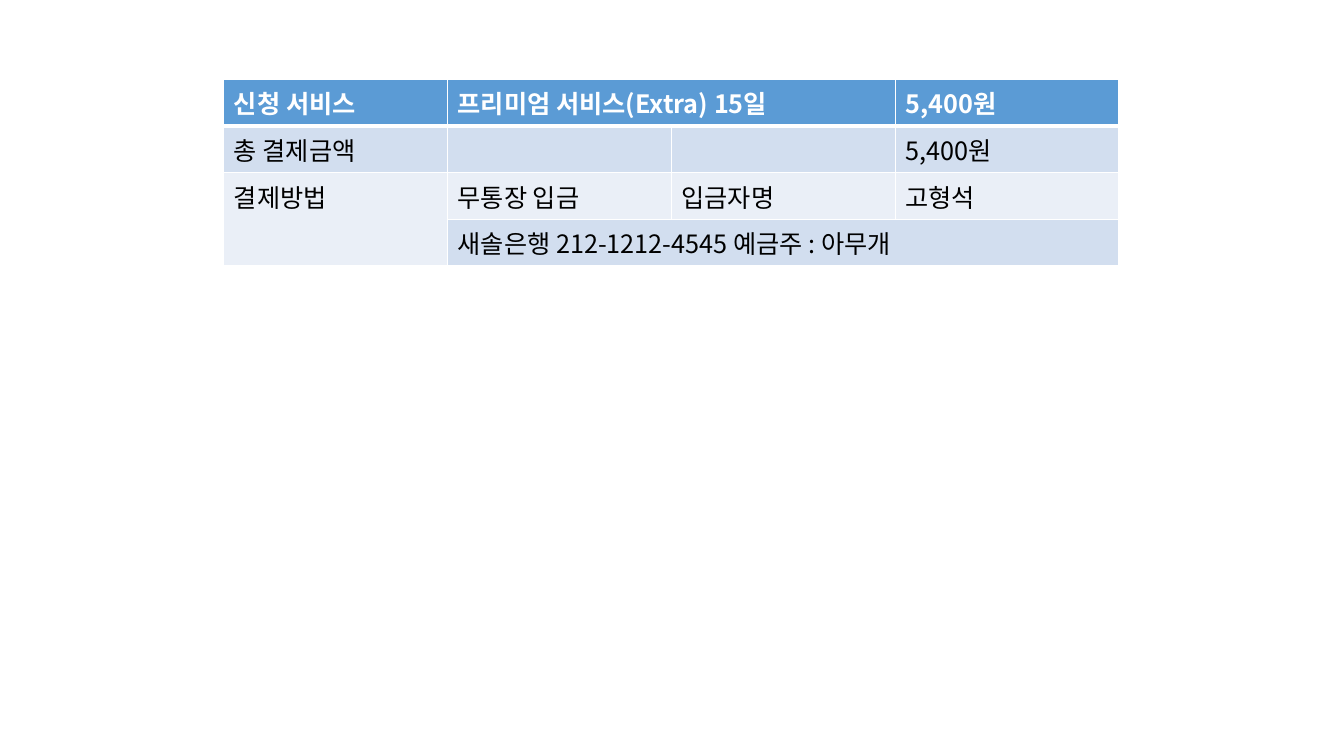
import pptx
import pptx.dml.color
import pptx.oxml
import pptx.oxml.ns
import pptx.util
from pptx.util import Inches, Pt

# Content: (row, column, rows spanned, columns spanned, wording)
PAYMENT = [
    (0, 0, 1, 1, "신청 서비스"),
    (0, 1, 1, 2, "프리미엄 서비스(Extra) 15일"),
    (0, 3, 1, 1, "5,400원"),
    (1, 0, 1, 1, "총 결제금액"),
    (1, 3, 1, 1, "5,400원"),
    (2, 0, 2, 1, "결제방법"),
    (2, 1, 1, 1, "무통장 입금"),
    (2, 2, 1, 1, "입금자명"),
    (2, 3, 1, 1, "고형석"),
    (3, 1, 1, 3, "새솔은행 212-1212-4545 예금주 : 아무개"),
]
ROWS, COLUMNS = 4, 4
LEFT, TOP = 2.22, 0.79
COLUMN_WIDTH, ROW_HEIGHT = 2.22, 0.46


class Theme:
    font = "Noto Sans CJK KR"
    size = 18
    header = "5B9BD5"
    bands = ("EAEFF7", "D2DEEF")
    header_text = "FFFFFF"
    body_text = "000000"
    border = "FFFFFF"
    thin, thick = 1, 3


def rgb(value):
    return pptx.dml.color.RGBColor.from_string(value)


def draw_borders(cell, row):
    """White rules, with a heavier one between the header and the body."""
    widths = {"L": Theme.thin, "R": Theme.thin,
              "T": Theme.thick if row == 1 else Theme.thin,
              "B": Theme.thick if row == 0 else Theme.thin}
    properties = cell._tc.get_or_add_tcPr()
    for side, width in widths.items():
        properties.append(pptx.oxml.parse_xml(
            f'<a:ln{side} {pptx.oxml.ns.nsdecls("a")} w="{Pt(width)}">'
            f'<a:solidFill><a:srgbClr val="{Theme.border}"/></a:solidFill>'
            f'</a:ln{side}>'))


def write(cell, wording, is_header):
    run = cell.text_frame.paragraphs[0].add_run()
    run.text = wording
    run.font.name = Theme.font
    run.font.size = Pt(Theme.size)
    run.font.bold = is_header
    run.font.color.rgb = rgb(Theme.header_text if is_header else Theme.body_text)
    run.font._element.append(pptx.oxml.parse_xml(
        f'<a:ea {pptx.oxml.ns.nsdecls("a")} typeface="{Theme.font}"/>'))


# Slide
presentation = pptx.Presentation()
presentation.slide_width = Inches(13.33)
presentation.slide_height = Inches(7.5)
slide = presentation.slides.add_slide(presentation.slide_layouts[6])

# Table grid
payment_table = slide.shapes.add_table(
    ROWS, COLUMNS, Inches(LEFT), Inches(TOP),
    Inches(COLUMNS * COLUMN_WIDTH), Inches(ROWS * ROW_HEIGHT)).table
for column in payment_table.columns:
    column.width = Inches(COLUMN_WIDTH)
for row in payment_table.rows:
    row.height = Inches(ROW_HEIGHT)

# Banding and borders
for row in range(ROWS):
    for column in range(COLUMNS):
        cell = payment_table.cell(row, column)
        draw_borders(cell, row)
        cell.fill.solid()
        cell.fill.fore_color.rgb = rgb(Theme.bands[row % 2] if row else Theme.header)

# Merged cells and wording
for row, column, row_span, column_span, wording in PAYMENT:
    cell = payment_table.cell(row, column)
    if row_span * column_span > 1:
        cell.merge(payment_table.cell(row + row_span - 1, column + column_span - 1))
    write(cell, wording, is_header=row == 0)

presentation.save("out.pptx")
